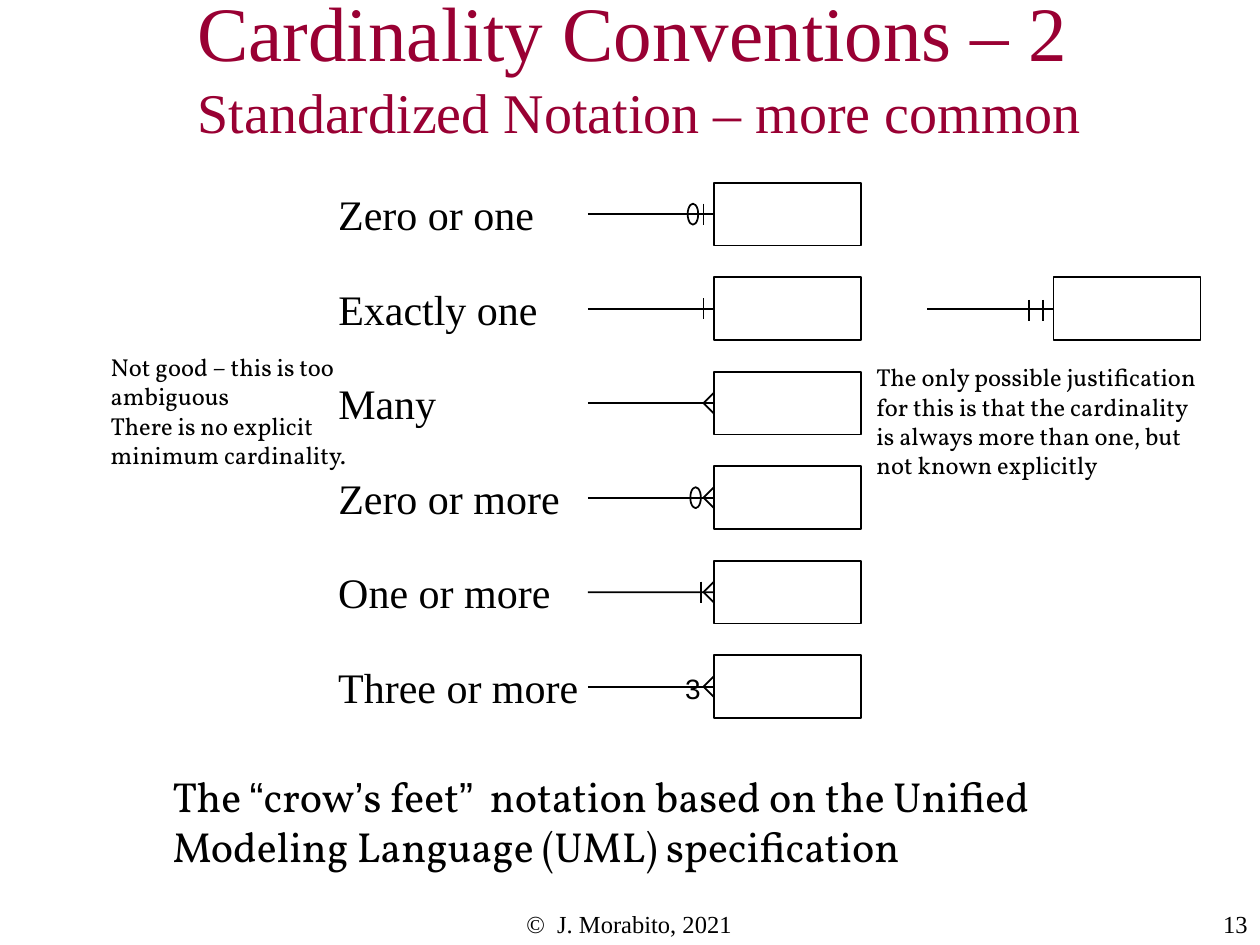
"""Build a slide on crow's feet cardinality notation."""
from itertools import groupby

from lxml import etree
from pptx import Presentation
from pptx.dml.color import RGBColor
from pptx.enum import shapes, text
from pptx.oxml import ns
from pptx.util import Pt

COLORS = {"ink": "000000", "title": "990033"}
SERIF, SANS, BODY = "Times New Roman", "Arial", "Vollkorn"
ENTITY_WIDTH, ENTITY_HEIGHT, STEM, HALF = 84, 36, 72, 6
ROW_TOP, ROW_PITCH, ENTITY_LEFT, LABEL_LEFT = 104.4, 54, 408, 186.2
ROWS = [
    ("Zero or one", 127, [("circle", 15), ("tick", 6)]),
    ("Exactly one", 129, [("tick", 6)]),
    ("Many", 71, [("foot", 6)]),
    ("Zero or more", 142, [("foot", 6), ("circle", 13.5)]),
    ("One or more", 136, [("foot", 6), ("tick", 7.5)]),
    ("Three or more", 152, [("foot", 6), ("count", 23.5)]),
]


def add_span(para, words, font=SERIF, size=14, color="ink"):
    """Append one formatted run to a paragraph."""
    span = para.add_run()
    span.text = words
    span.font.name = font
    span.font.size = Pt(size)
    span.font.color.rgb = RGBColor.from_string(COLORS[color])


def add_text(page, box, words, font=SERIF, size=14, color="ink", align="LEFT",
             anchor="TOP", wrap=True, quote_font=None):
    """Add a text box with one paragraph per line and return its frame."""
    frame = page.shapes.add_textbox(*map(Pt, box)).text_frame
    frame.word_wrap = wrap
    if not wrap:
        frame.auto_size = text.MSO_AUTO_SIZE.SHAPE_TO_FIT_TEXT
    frame.vertical_anchor = text.MSO_ANCHOR[anchor]
    for index, line in enumerate(words.split("\n")):
        para = frame.add_paragraph() if index else frame.paragraphs[0]
        para.alignment = text.PP_ALIGN[align]
        for quoted, letters in groupby(line, lambda letter: letter in "“’”"):
            face = quote_font if quoted and quote_font else font
            add_span(para, "".join(letters), face, size, color)
    return frame


def add_line(page, *ends):
    """Draw a thin straight line between two points."""
    line = page.shapes.add_connector(shapes.MSO_CONNECTOR.STRAIGHT, *map(Pt, ends))
    line.line.width = Pt(1)
    line.line.color.rgb = RGBColor.from_string(COLORS["ink"])
    etree.SubElement(line._element.spPr, ns.qn("a:effectLst"))
    return line


def add_outline(page, kind, *box):
    """Draw an unfilled preset shape with a thin outline."""
    shape = page.shapes.add_shape(kind, *map(Pt, box))
    shape.shadow.inherit = False
    shape.fill.background()
    shape.line.width = Pt(1)
    shape.line.color.rgb = RGBColor.from_string(COLORS["ink"])
    return shape


def add_mark(page, kind, edge, middle, offset):
    """Draw one cardinality mark at an offset left of the entity edge."""
    x = edge - offset
    if kind == "tick":
        add_line(page, x, middle - HALF, x, middle + HALF)
    elif kind == "foot":
        for side in (-HALF, HALF):
            add_line(page, edge, middle + side, x, middle)
    elif kind == "circle":
        add_outline(page, shapes.MSO_SHAPE.OVAL, x, middle - HALF, HALF, 2 * HALF)
    else:
        add_text(page, (x, middle - 12.2, 23.4, 26.6), "3", SANS, 16, wrap=False)


def add_relationship(page, left, top, marks, drop=0):
    """Draw an entity, its stem and the marks on the stem."""
    middle = top + ENTITY_HEIGHT / 2
    entity = add_outline(page, shapes.MSO_SHAPE.RECTANGLE, left, top,
                         ENTITY_WIDTH, ENTITY_HEIGHT)
    stem = add_line(page, left - STEM, middle, left, middle)
    stem.end_connect(entity, 1)
    for kind, offset in marks:
        add_mark(page, kind, left, middle + drop, offset)


def add_title(page, box):
    """Write the title and its smaller second line."""
    frame = add_text(page, box, "Cardinality Conventions – 2", size=44,
                     color="title", anchor="MIDDLE")
    para = frame.paragraphs[0]
    para.add_line_break()
    add_span(para, "Standardized Notation – more common", size=32, color="title")


def add_conventions(page, top):
    """Lay out the labelled rows and the alternative for exactly one."""
    for index, (label, width, marks) in enumerate(ROWS):
        row_top = top + index * ROW_PITCH
        add_text(page, (LABEL_LEFT, row_top, width, ENTITY_HEIGHT), label,
                 size=24, wrap=False)
        add_relationship(page, ENTITY_LEFT, row_top, marks)
    add_relationship(page, 602, top + ROW_PITCH, [("tick", 6), ("tick", 14)], drop=1)


def add_notes(page):
    """Write the two remarks and the closing statement."""
    add_text(page, (56.2, 197.5, 160, 75), "Not good – this is too ambiguous\n"
             "There is no explicit minimum cardinality.", BODY)
    add_text(page, (493.8, 203.4, 205, 91.5), "The only possible justification for "
             "this is that the cardinality is always more than one, but not known "
             "explicitly", BODY)
    add_text(page, (91.5, 436.5, 550, 65), "The “crow’s feet”  notation based on the "
             "Unified Modeling Language (UML) specification", BODY, 24,
             quote_font=SANS)


def add_footer(page, top):
    """Write the copyright line and the page number."""
    add_text(page, (245.5, top, 228, 18), "©  J. Morabito, 2021", align="CENTER")
    add_text(page, (618, top, 102, 24), "13", align="RIGHT")


def main():
    """Build and save the deck."""
    deck = Presentation()
    deck.slide_width, deck.slide_height = Pt(720), Pt(540)
    page = deck.slides.add_slide(deck.slide_layouts[6])
    add_footer(page, 516)
    add_title(page, (105.8, 9, 614.2, 56))
    add_conventions(page, ROW_TOP)
    add_notes(page)
    deck.save("out.pptx")


if __name__ == "__main__":
    main()
